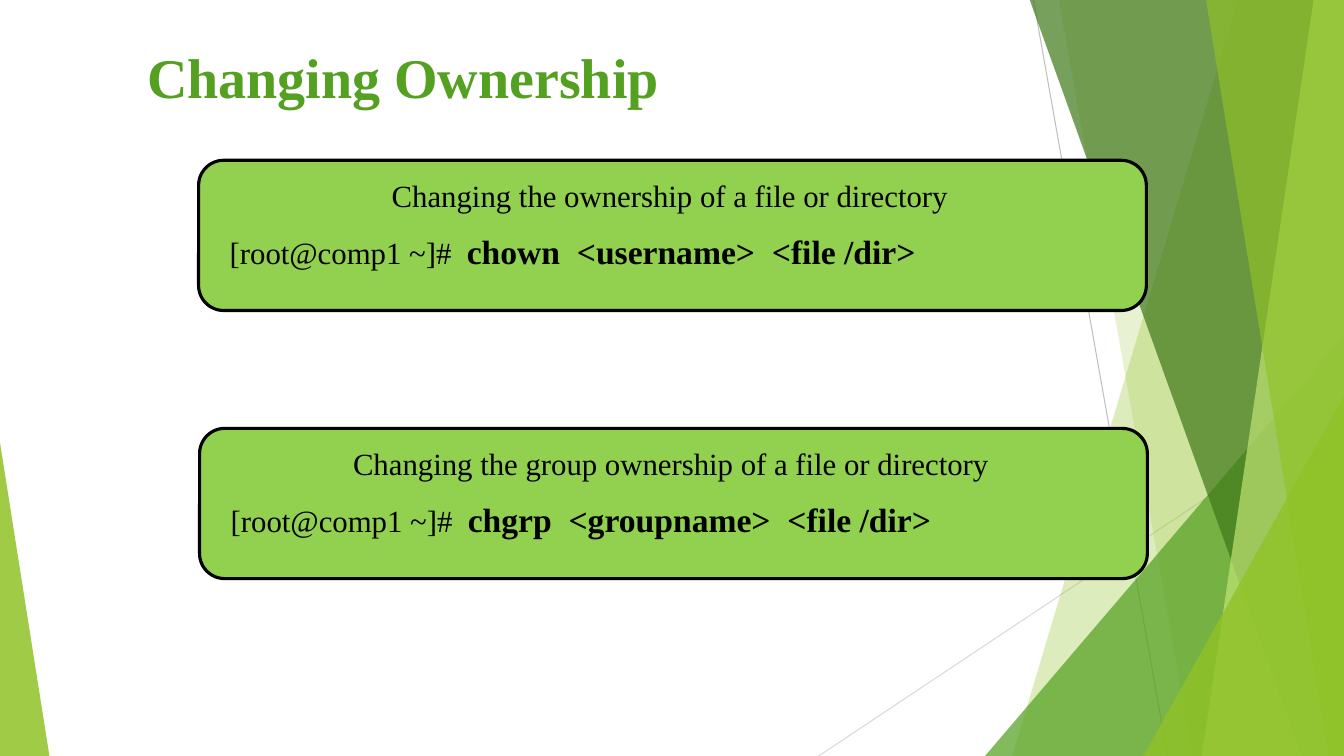
from lxml import etree
from pptx import Presentation
from pptx.dml.color import RGBColor
from pptx.enum.shapes import MSO_CONNECTOR, MSO_SHAPE
from pptx.enum.text import MSO_ANCHOR, PP_ALIGN
from pptx.oxml.ns import qn
from pptx.util import Inches, Pt

STRAIGHT = MSO_CONNECTOR.STRAIGHT
TRIANGLE = MSO_SHAPE.ISOSCELES_TRIANGLE
ROUNDED = MSO_SHAPE.ROUNDED_RECTANGLE
RECTANGLE = MSO_SHAPE.RECTANGLE
TOP = MSO_ANCHOR.TOP
LEFT, CENTER = PP_ALIGN.LEFT, PP_ALIGN.CENTER

FONT = "Times New Roman"
WIDTH, HEIGHT = 13.33, 7.5
BLEED = -0.01
BLACK, PANEL_GREEN, TITLE_GREEN, LEAF = "000000", "92D050", "54A021", "90C226"


def color(hex_string):
    return RGBColor.from_string(hex_string)


class OwnershipSlide:
    def __init__(self, presentation):
        self.slide = presentation.slides.add_slide(presentation.slide_layouts[5])
        self.shapes = self.slide.shapes

    def paint(self, shape, fill, opacity=100):
        shape.shadow.inherit = False
        shape.line.fill.background()
        shape.fill.solid()
        shape.fill.fore_color.rgb = color(fill)
        if opacity < 100:
            tint = shape.fill._xPr.find(qn("a:solidFill"))[0]
            etree.SubElement(tint, qn("a:alpha"), val=str(opacity * 1000))

    def preset(self, kind, left, top, width, height, fill, opacity=100):
        shape = self.shapes.add_shape(
            kind, Inches(left), Inches(top), Inches(width), Inches(height))
        self.paint(shape, fill, opacity)
        return shape

    def hairline(self, start, end, stroke):
        line = self.shapes.add_connector(STRAIGHT, *map(Inches, start + end))
        line.line.color.rgb = color(stroke)
        line.line.width = Pt(0.75)
        etree.SubElement(line._element.spPr, qn("a:effectLst"))

    def ribbon(self, top_x, bottom_x, fill, opacity):
        outline = self.shapes.build_freeform(
            Inches(top_x), Inches(BLEED), scale=1.0)
        corners = [(WIDTH, BLEED), (WIDTH, HEIGHT), (bottom_x, HEIGHT)]
        outline.add_line_segments(
            [(Inches(x), Inches(y)) for x, y in corners], close=True)
        self.paint(outline.convert_to_shape(), fill, opacity)

    def wedge(self, left, top, width, apex, fill, opacity):
        shape = self.preset(
            TRIANGLE, left, top, width, HEIGHT - top, fill, opacity)
        shape.adjustments[0] = apex

    def style_run(self, run, size, ink, bold=False):
        run.font.name = FONT
        run.font.size = Pt(size)
        run.font.bold = bold
        run.font.color.rgb = color(ink)

    def title(self, wording):
        heading = self.shapes.title
        heading.left, heading.top = Inches(1.36), Inches(0.3)
        heading.width, heading.height = Inches(6.67), Inches(0.67)
        frame = heading.text_frame
        frame.text = wording
        frame.vertical_anchor = TOP
        frame.margin_top, frame.margin_bottom = Inches(0.12), 0
        frame.paragraphs[0].alignment = LEFT
        self.style_run(frame.paragraphs[0].runs[0], 40, TITLE_GREEN, True)

    def text_band(self, left, top, width, height, alignment, pieces):
        frame = self.preset(
            RECTANGLE, left, top, width, height, PANEL_GREEN).text_frame
        frame.word_wrap = True
        frame.vertical_anchor = TOP
        paragraph = frame.paragraphs[0]
        paragraph.alignment = alignment
        for wording, size, bold in pieces:
            run = paragraph.add_run()
            run.text = wording
            self.style_run(run, size, BLACK, bold)
        return paragraph

    def command_panel(self, left, top, purpose, command):
        panel = self.preset(ROUNDED, left, top, 9.4, 1.49, PANEL_GREEN)
        panel.line.color.rgb = color(BLACK)
        panel.line.width = Pt(2.25)
        self.text_band(left + 0.2, top + 0.11, 9.02, 0.47, CENTER,
                       [(purpose, 22, False)])
        prompt_line = self.text_band(
            left + 0.21, top + 0.63, 9.14, 0.52, LEFT,
            [("[root@comp1 ~]#  ", 22, False), (command, 24, True)])
        prompt_line.line_spacing = Pt(30)

    def backdrop(self):
        self.hairline((10.25, 0), (11.58, HEIGHT), "BFBFBF")
        self.hairline((WIDTH, 4.03), (8.12, HEIGHT), "D9D9D9")
        self.ribbon(12.28, 10.04, LEAF, 30)
        self.ribbon(10.5, 11.83, LEAF, 20)
        self.wedge(9.77, 3.33, 3.56, 1, TITLE_GREEN, 72)
        self.ribbon(10.21, 12.91, "3F7819", 70)
        self.ribbon(13.03, 11.92, "C0E474", 70)
        self.ribbon(11.96, 13.18, LEAF, 65)
        self.wedge(11.34, 3.93, 1.99, 1, LEAF, 80)
        self.wedge(0, 4.39, 0.49, 0, LEAF, 85)


def main():
    presentation = Presentation()
    presentation.slide_width = Inches(WIDTH)
    presentation.slide_height = Inches(HEIGHT)
    ownership = OwnershipSlide(presentation)
    ownership.backdrop()
    ownership.title("Changing Ownership")
    ownership.command_panel(
        1.97, 1.59, "Changing the ownership of a file or directory ",
        "chown  <username>  <file /dir>")
    ownership.command_panel(
        1.98, 4.25, "Changing the group ownership of a file or directory ",
        "chgrp  <groupname>  <file /dir>")
    presentation.save("out.pptx")


if __name__ == "__main__":
    main()
